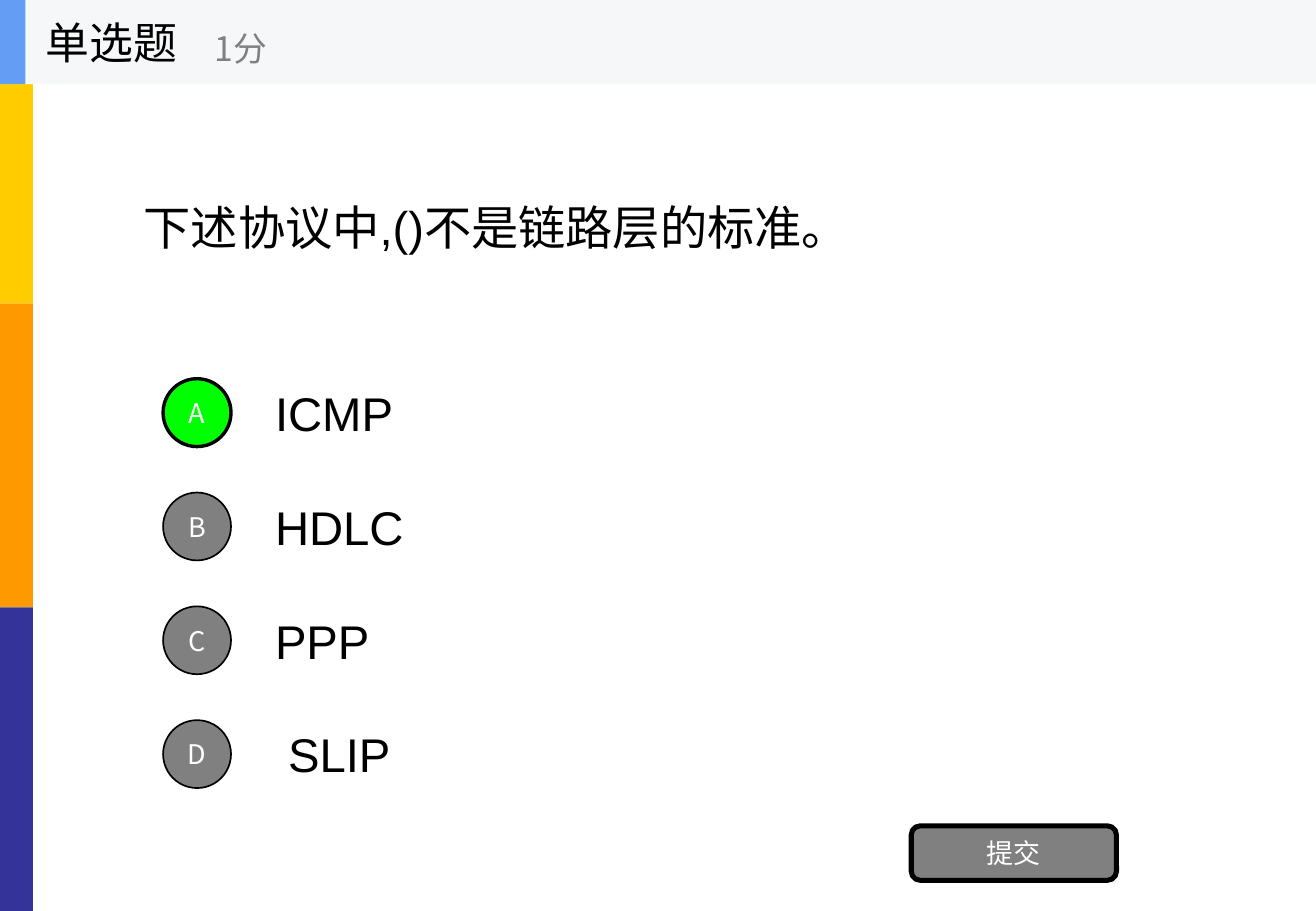
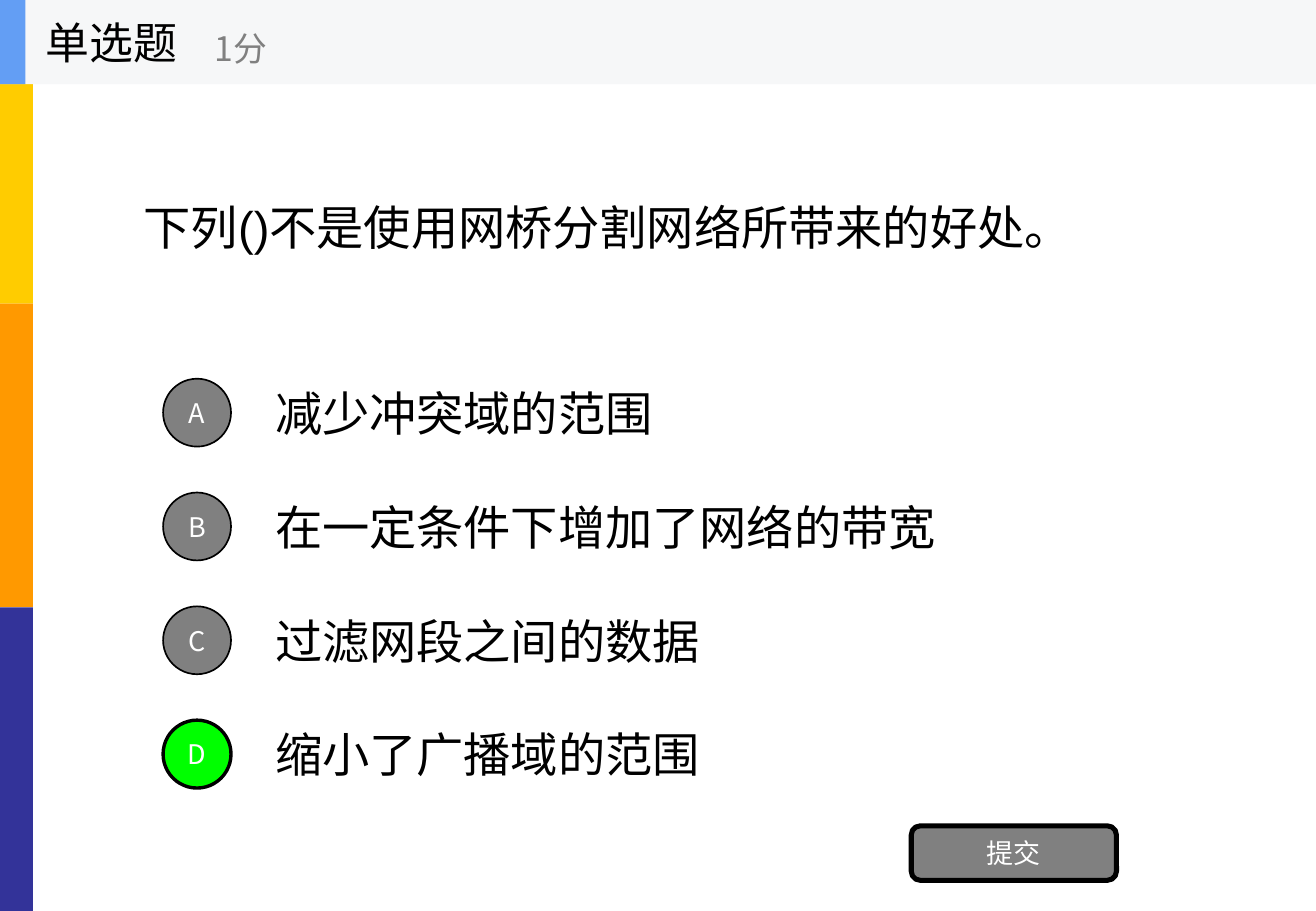
from lxml import etree
from pptx import Presentation
from pptx.dml.color import RGBColor
from pptx.enum.shapes import MSO_SHAPE as Preset
from pptx.enum.text import MSO_ANCHOR as Anchor, MSO_AUTO_SIZE as AutoSize, PP_ALIGN as Align
from pptx.oxml.ns import qn
from pptx.util import Cm, Pt

BLACK = RGBColor(0x00, 0x00, 0x00)
WHITE = RGBColor(0xFF, 0xFF, 0xFF)
GRAY = RGBColor(0x80, 0x80, 0x80)
GREEN = RGBColor(0x00, 0xFF, 0x00)
HEADER_BLUE = RGBColor(0x63, 0x9E, 0xF4)
HEADER_GRAY = RGBColor(0xF6, 0xF7, 0xF8)
BAND_COLORS = [RGBColor(0xFF, 0xCC, 0x00), RGBColor(0xFF, 0x99, 0x00),
               RGBColor(0x33, 0x33, 0x99)]

LATIN, CHINESE = "Arial", "Noto Sans CJK SC"
QUESTION_STYLE = {"name": LATIN, "size": Pt(28)}
HEADING_STYLE = {"name": CHINESE, "size": Pt(26)}
SCORE_STYLE = {"name": CHINESE, "size": Pt(20)}
BUTTON_STYLE = {"name": CHINESE, "size": Pt(16)}

# Regions as (left, top, width, height) in centimetres
WIDTH, HEIGHT = 27.51, 19.05
BANDS_BOX = (0, 0, 0.69, HEIGHT)
HEADER_BOX = (0, 0, WIDTH, 1.76)
QUESTION_BOX = (2.75, 1.76, 22.01, 5.95)
OPTIONS_BOX = (3.41, 7.74, 21.35, 9.52)
SUBMIT_BOX = (19.05, 17.27, 4.29, 1.14)

QUIZ = [
    ("下述协议中,()不是链路层的标准。",
     ["ICMP", "HDLC", "PPP", " SLIP"], "A"),
    ("下列()不是使用网桥分割网络所带来的好处。",
     ["减少冲突域的范围", "在一定条件下增加了网络的带宽",
      "过滤网段之间的数据", "缩小了广播域的范围"], "D"),
]


def lengths(box):
    return [Cm(value) for value in box]


def write(holder, text, style, color, align=Align.LEFT):
    frame = holder.text_frame
    for key, value in {"word_wrap": True, "auto_size": AutoSize.NONE,
                       "vertical_anchor": Anchor.MIDDLE}.items():
        setattr(frame, key, value)
    paragraph = frame.paragraphs[0]
    paragraph.alignment = align
    run = paragraph.add_run()
    run.text = text
    for key, value in style.items():
        setattr(run.font, key, value)
    run.font.color.rgb = color
    # East Asian glyphs need their own typeface element
    east_asian = etree.SubElement(run.font._element, qn("a:ea"))
    east_asian.set("typeface", CHINESE)


def add_text(shapes, box, text, style, color=BLACK):
    write(shapes.add_textbox(*lengths(box)), text, style, color)


def add_block(shapes, preset, box, fill, line_width=0):
    block = shapes.add_shape(preset, *lengths(box))
    block.shadow.inherit = False
    block.fill.solid()
    block.fill.fore_color.rgb = fill
    if line_width:
        block.line.color.rgb = BLACK
        block.line.width = Pt(line_width)
    else:
        block.line.fill.background()
    return block


def add_button(shapes, preset, box, label, fill, line_width):
    button = add_block(shapes, preset, box, fill, line_width)
    for side in ("left", "right", "top", "bottom"):
        setattr(button.text_frame, f"margin_{side}", 0)
    write(button, label, BUTTON_STYLE, WHITE, Align.CENTER)


def add_side_bands(slide, box):
    """Stack the colour bands and hand them to the layout all slides share."""
    left, top, width, height = box
    band_height = height / len(BAND_COLORS)
    for row, color in enumerate(BAND_COLORS):
        band = add_block(slide.shapes, Preset.RECTANGLE,
                         (left, top + row * band_height, width, band_height), color)
        slide.slide_layout.shapes.element.append(band.element)


def add_header(slide, box):
    left, top, width, height = box
    header = slide.shapes.add_group_shape().shapes
    add_block(header, Preset.RECTANGLE, box, HEADER_GRAY)
    add_block(header, Preset.RECTANGLE, (left, top, 0.53, height), HEADER_BLUE)
    add_text(header, (left + 0.71, top, 5.28, height), "单选题", HEADING_STYLE)
    add_text(header, (left + 4.24, top + 0.3, 6.35, 1.42), "1分", SCORE_STYLE, GRAY)


def add_question(slide, box, question):
    title = slide.shapes.title
    title.left, title.top, title.width, title.height = lengths(box)
    write(title, question, QUESTION_STYLE, BLACK)


def add_options(slide, box, options, answer):
    left, top, width, height = box
    pitch, text_height, circle, indent = height / len(options), 1.78, 1.42, 2.09
    for row, (letter, option) in enumerate(zip("ABCD", options)):
        row_top = top + row * pitch
        add_text(slide.shapes, (left + indent, row_top, width - indent, text_height),
                 option, QUESTION_STYLE)
        fill, line_width = (GREEN, 2) if letter == answer else (GRAY, 1)
        circle_top = row_top + (text_height - circle) / 2
        add_button(slide.shapes, Preset.OVAL, (left, circle_top, circle, circle),
                   letter, fill, line_width)


def add_quiz_slide(prs, question, options, answer):
    slide = prs.slides.add_slide(prs.slide_layouts.get_by_name("Title Only"))
    add_question(slide, QUESTION_BOX, question)
    add_options(slide, OPTIONS_BOX, options, answer)
    add_button(slide.shapes, Preset.ROUNDED_RECTANGLE, SUBMIT_BOX, "提交", GRAY, 3)
    add_header(slide, HEADER_BOX)
    return slide


def main():
    prs = Presentation()
    prs.slide_width, prs.slide_height = Cm(WIDTH), Cm(HEIGHT)
    slides = [add_quiz_slide(prs, *item) for item in QUIZ]
    add_side_bands(slides[0], BANDS_BOX)
    prs.save("out.pptx")


if __name__ == "__main__":
    main()
